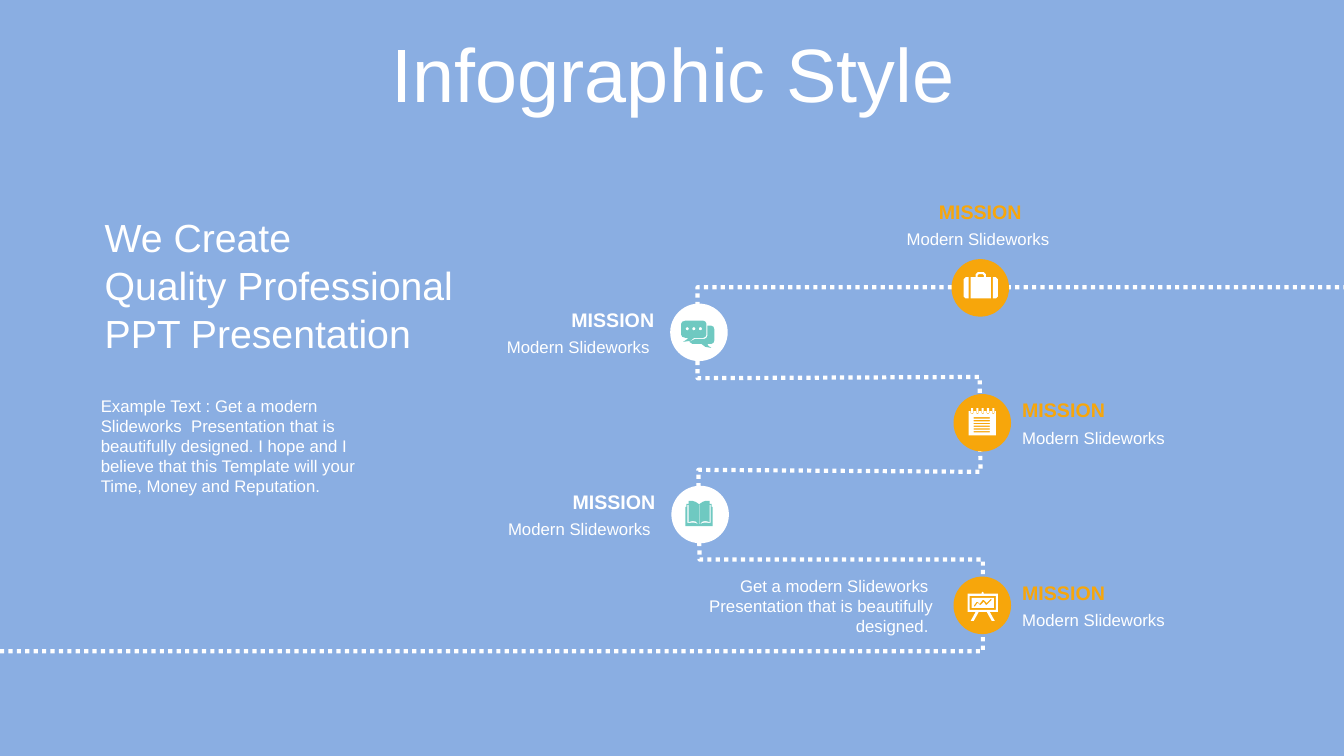
from dataclasses import dataclass
from math import cos, pi, sin

from pptx import Presentation
from pptx.dml.color import RGBColor
from pptx.enum.dml import MSO_LINE
from pptx.enum.shapes import MSO_SHAPE
from pptx.enum.text import MSO_ANCHOR, PP_ALIGN
from pptx.util import Cm, Pt

DOTS = MSO_LINE.ROUND_DOT
OVAL = MSO_SHAPE.OVAL
TOP, MIDDLE = MSO_ANCHOR.TOP, MSO_ANCHOR.MIDDLE
LEFT, CENTER, RIGHT = PP_ALIGN.LEFT, PP_ALIGN.CENTER, PP_ALIGN.RIGHT


@dataclass(frozen=True)
class Theme:
    font: str = "Arial"
    back: RGBColor = RGBColor(0x8A, 0xAE, 0xE2)
    white: RGBColor = RGBColor(0xFF, 0xFF, 0xFF)
    gold: RGBColor = RGBColor(0xF7, 0xA6, 0x0B)
    teal: RGBColor = RGBColor(0x6F, 0xC9, 0xC1)
    title: int = 54
    head: int = 28
    label: int = 14
    body: int = 12
    route: int = 3


THEME = Theme()
WIDTH, HEIGHT = 33.87, 19.05
DISC = 1.45
UNIT = 0.0254


def write(slide, box, text, size, color=THEME.white, align=LEFT,
          anchor=TOP, bold=False, inset=(0, 0), space=None):
    frame = slide.shapes.add_textbox(*map(Cm, box)).text_frame
    frame.word_wrap = True
    frame.vertical_anchor = anchor
    frame.margin_left = frame.margin_right = Cm(inset[0])
    frame.margin_top = frame.margin_bottom = Cm(inset[1])
    frame.text = text
    line = frame.paragraphs[0]
    line.alignment = align
    line.line_spacing = space
    font = line.runs[0].font
    font.name, font.size, font.bold = THEME.font, Pt(size), bold
    font.color.rgb = color


def draw(slide, paths, closed=True):
    points = [[(Cm(x), Cm(y)) for x, y in path] for path in paths]
    pen = slide.shapes.build_freeform(*points[0][0])
    pen.add_line_segments(points[0][1:], close=closed)
    for path in points[1:]:
        pen.move_to(*path[0])
        pen.add_line_segments(path[1:], close=closed)
    shape = pen.convert_to_shape()
    shape.shadow.inherit = False
    return shape


def fill(shape, color):
    shape.shadow.inherit = False
    shape.fill.solid()
    shape.fill.fore_color.rgb = color
    shape.line.fill.background()


def rect(x, y, w, h):
    return [(x, y), (x + w, y), (x + w, y + h), (x, y + h)]


def ring(x, y, r):
    return [(x + r * cos(i * pi / 6), y + r * sin(i * pi / 6)) for i in range(12)]


def flip(path, width):
    return [(width - x, y) for x, y in path]


def case():
    strap = [(5, 5), (5, 26), (2, 26), (0, 24), (0, 7), (2, 5)]
    trunk = [(14, 0), (20, 0), (22, 2), (22, 5), (27, 5), (27, 26),
             (7, 26), (7, 5), (12, 5), (12, 2)]
    grip = [(14, 5), (14, 3), (15, 2), (19, 2), (20, 3), (20, 5)]
    return [strap, flip(strap, 34), trunk, grip]


def chat():
    front = [(4, 0), (22, 0), (24, 1), (25, 3), (25, 14), (24, 16), (22, 17),
             (13, 17), (9, 20), (2, 21), (5, 19), (7, 17), (4, 17), (1, 16),
             (0, 14), (0, 3), (1, 1)]
    rear = [(26, 5), (30, 5), (32, 6), (33, 9), (33, 19), (32, 22), (30, 23),
            (26, 23), (27, 25), (30, 27), (24, 26), (20, 23), (11, 23),
            (8, 21), (14, 18), (23, 18), (25, 17), (26, 15)]
    return [front, rear] + [ring(x, 8, 1.6) for x in (6, 12.5, 19)]


def note():
    slots = [2 + 5.25 * i for i in range(5)]
    page = [(0, 3)]
    for x in slots:
        page += [(x, 3), (x, 5), (x + 1.5, 6), (x + 3, 5), (x + 3, 3)]
    page += [(27, 3), (27, 27), (0, 27)]
    rings = [rect(x + 0.5, 0, 2, 5) for x in slots]
    return [page] + rings + [rect(5, 9 + 2.75 * i, 16, 1.3) for i in range(6)]


def book():
    half = [(0, 25), (0, 6), (1, 6), (1, 3), (3, 3), (3, 0), (7, 0),
            (10, 1), (13, 3), (13.5, 4)]
    edge = [(13, 23), (10, 20.5), (7, 20), (3, 21), (3, 4), (2, 4),
            (2, 22), (8, 21.5)]
    cover = half + flip(half[-2::-1], 27)
    return [cover, edge, flip(edge, 27), rect(13.2, 4, 0.6, 19)]


def board():
    half = [(15, 0), (14, 1), (14, 2), (0, 2), (0, 20), (8, 20), (3, 29),
            (6, 29), (11, 20)]
    chart = [(6, 14), (9, 10), (10, 10), (12, 12), (15, 8), (16, 8), (19, 11),
             (23, 7), (24, 8), (19, 13), (18, 13), (16, 10), (13, 13),
             (12, 13), (10, 11), (7, 15)]
    stand = half + flip(half[:0:-1], 30)
    return [stand, rect(2, 4, 26, 14), rect(4, 6, 22, 10), chart]


SIDES = {
    "top": (-1.83, -1.5, CENTER, TOP, "Modern Slideworks "),
    "left": (-5.51, 0.1, RIGHT, MIDDLE, "Modern Slideworks "),
    "right": (1.73, 0.1, LEFT, MIDDLE, "Modern Slideworks"),
}

STOPS = [
    (23.98, 6.53, "top", case, 12, 13),
    (16.89, 7.65, "left", chat, 11, 17),
    (24.03, 9.93, "right", note, 15, 14),
    (16.92, 12.24, "left", book, 14, 15),
    (24.03, 14.53, "right", board, 14, 15),
]


def stop(slide, x, y, side, icon, dx, dy):
    pale = side == "left"
    disc = slide.shapes.add_shape(OVAL, Cm(x), Cm(y), Cm(DISC), Cm(DISC))
    fill(disc, THEME.white if pale else THEME.gold)
    paths = [[(x + (dx + a) * UNIT, y + (dy + b) * UNIT) for a, b in path]
             for path in icon()]
    fill(draw(slide, paths), THEME.teal if pale else THEME.white)
    left, top, align, anchor, text = SIDES[side]
    write(slide, (x + left, y + top, 5.11, 0.61), "MISSION", THEME.label,
          THEME.white if pale else THEME.gold, align, anchor, True)
    write(slide, (x + left, y + top + 0.74, 5.11, 0.51), text, THEME.body,
          align=align, anchor=anchor)


def route(slide):
    bends = [(0, 16.41), (24.77, 16.41), (24.77, 14.1), (17.63, 14.1),
             (17.6, 11.84), (24.71, 11.89), (24.69, 9.5), (17.58, 9.53),
             (17.58, 7.24), (WIDTH, 7.24)]
    trail = draw(slide, [bends], False)
    trail.fill.background()
    trail.line.color.rgb = THEME.white
    trail.line.width = Pt(THEME.route)
    trail.line.dash_style = DOTS


def pitch(slide, x, y):
    lines = [("We Create", 4.93), ("Quality Professional", 9.4),
             ("PPT Presentation", 8.94)]
    for i, (text, width) in enumerate(lines):
        write(slide, (x, y + 1.21 * i, width, 1.07), text, THEME.head,
              inset=(0.1, 0), space=Pt(30))
    write(slide, (x, y + 4.45, 6.5, 2.57),
          "Example Text : Get a modern Slideworks  Presentation that is "
          "beautifully designed. I hope and I believe that this Template "
          "will your Time, Money and Reputation.", THEME.body)


def main():
    deck = Presentation()
    deck.slide_width, deck.slide_height = Cm(WIDTH), Cm(HEIGHT)
    slide = deck.slides.add_slide(deck.slide_layouts[6])
    slide.background.fill.solid()
    slide.background.fill.fore_color.rgb = THEME.back
    route(slide)
    write(slide, (0.89, 0.79, 32.16, 2.34), "Infographic Style", THEME.title,
          align=CENTER, anchor=MIDDLE, inset=(0.25, 0.13), space=0.9)
    pitch(slide, 2.54, 5.51)
    for item in STOPS:
        stop(slide, *item)
    write(slide, (17.83, 14.5, 5.69, 1.55),
          "Get a modern Slideworks  Presentation that is beautifully "
          "designed. ", THEME.body, align=RIGHT)
    deck.save("out.pptx")


if __name__ == "__main__":
    main()
